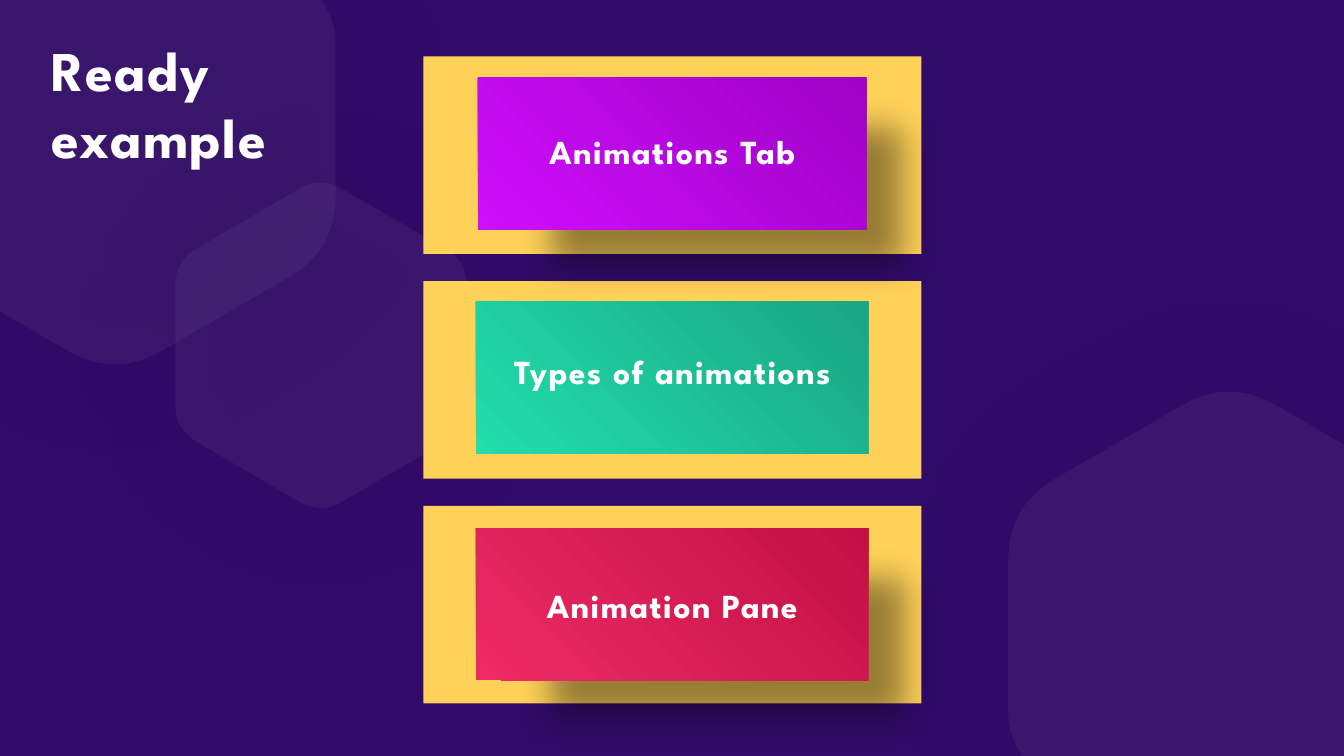
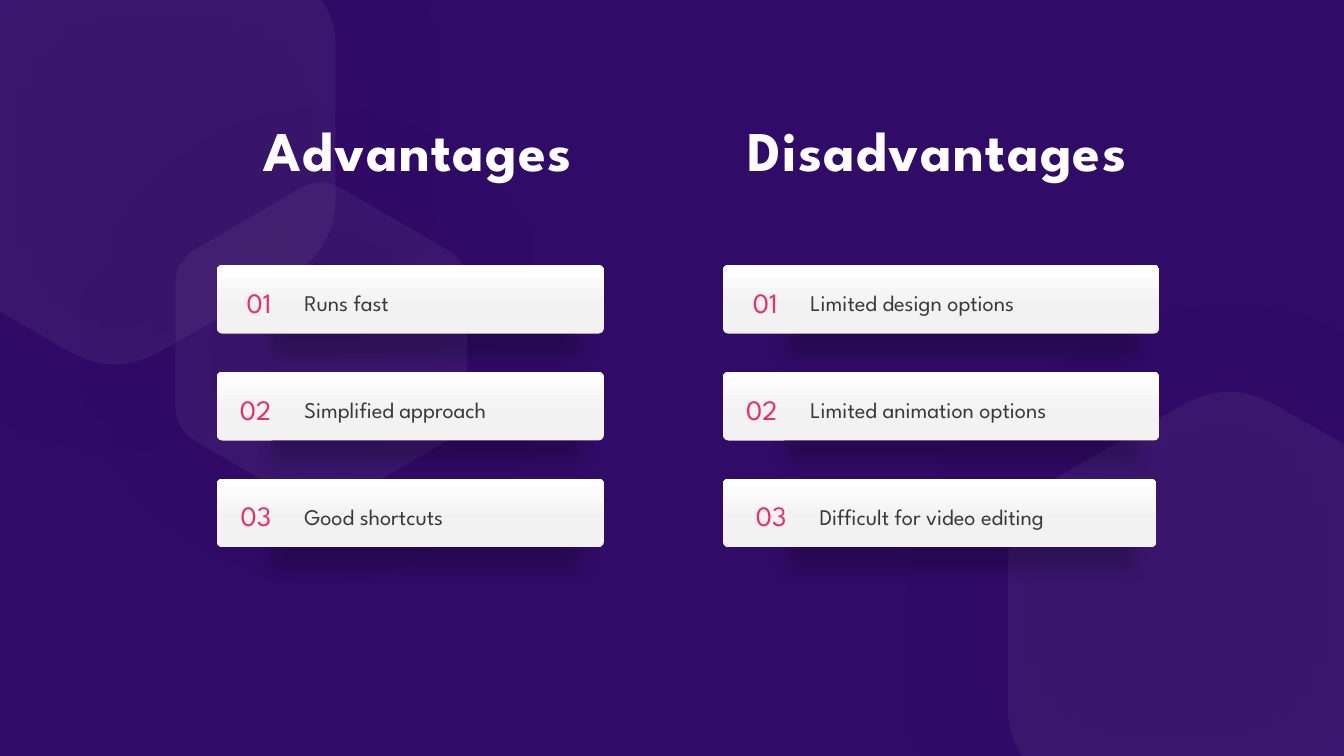
import pptx
import pptx.dml.color
import pptx.enum.shapes
import pptx.enum.text
import pptx.oxml
import pptx.util
from pptx.util import Inches

THEME = {
    "font": "League Spartan",
    "night": "310B68", "white": "FFFFFF", "yellow": "FED159",
    "pink": "ED2B65", "ink": "3B3838",
    "violet": ("CE0EFC", "9F02C5"), "green": ("22DDAD", "19A682"),
    "red": ("ED2B65", "C21045"), "card": ("F2F2F2", "FFFFFF"),
    "title": 40, "label": 24, "number": 20, "body": 16,
}
# Shadows: opacity %, blur pt, distance pt, direction in degrees, scale %
GLOW = (75, 100, 0, 0, 100)
BUTTON_SHADOW = (40, 24, 36, 45, 90)
CARD_SHADOW = (20, 12, 23, 135, 80)
NAMESPACE = "http://schemas.openxmlformats.org/drawingml/2006/main"
RECT = pptx.enum.shapes.MSO_SHAPE.RECTANGLE
ROUNDED = pptx.enum.shapes.MSO_SHAPE.ROUNDED_RECTANGLE
ALIGN = pptx.enum.text.PP_ALIGN


def style_shape(shape, fill, angle=0, start=0, shadow=None):
    """Fill with one colour or a pair of gradient colours, without an outline."""
    if isinstance(fill, tuple):
        shape.fill.gradient()
        shape.fill.gradient_angle = angle
        for stop, color, position in zip(shape.fill.gradient_stops, fill, (start, 1)):
            stop.color.rgb = pptx.dml.color.RGBColor.from_string(color)
            stop.position = position
    else:
        shape.fill.solid()
        shape.fill.fore_color.rgb = pptx.dml.color.RGBColor.from_string(fill)
    shape.line.fill.background()
    shape.shadow.inherit = False
    if shadow:
        opacity, blur, distance, direction, scale = shadow
        effects = shape.element.spPr.find(f"{{{NAMESPACE}}}effectLst")
        effects.append(pptx.oxml.parse_xml(
            f'<a:outerShdw xmlns:a="{NAMESPACE}" blurRad="{pptx.util.Pt(blur)}" '
            f'dist="{pptx.util.Pt(distance)}" dir="{direction * 60000}" '
            f'sx="{scale * 1000}" sy="{scale * 1000}" algn="br" rotWithShape="0">'
            f'<a:srgbClr val="000000"><a:alpha val="{opacity * 1000}"/></a:srgbClr>'
            '</a:outerShdw>'))


def add_text(page, text, left, top, width, height, size, color, align, bold=False):
    box = page.shapes.add_textbox(Inches(left), Inches(top), Inches(width), Inches(height))
    box.text_frame.word_wrap = True
    box.text_frame.auto_size = pptx.enum.text.MSO_AUTO_SIZE.SHAPE_TO_FIT_TEXT
    box.text_frame.text = text
    for para in box.text_frame.paragraphs:
        para.alignment = align
        para.font.name = THEME["font"]
        para.font.size = pptx.util.Pt(size)
        para.font.bold = bold
        para.font.color.rgb = pptx.dml.color.RGBColor.from_string(color)
        if bold:
            for span in para.runs:
                span._r.get_or_add_rPr().set("spc", "100")


deck = pptx.Presentation()
deck.slide_width, deck.slide_height = Inches(13.33), Inches(7.5)
layout = deck.slide_layouts[6]
for placeholder in list(layout.placeholders):
    layout.shapes.element.remove(placeholder.element)
layout.background.fill.solid()
layout.background.fill.fore_color.rgb = pptx.dml.color.RGBColor.from_string(THEME["night"])
buttons_page = deck.slides.add_slide(layout)
lists_page = deck.slides.add_slide(layout)

# Shared backdrop: hexagons as corners of x, y and rounding length
corner_hexagon = [(0, 0, 0), (3.19, 0, 0), (3.33, 0.24, 0.2),
                  (3.33, 2.48, 0.54), (1.14, 3.75, 0.54), (0, 3.09, 0)]
middle_hexagon = [(x, y, 0.24) for x, y in (
    (3.18, 1.75), (4.63, 2.59), (4.63, 4.26), (3.18, 5.1), (1.74, 4.26), (1.74, 2.59))]
opposite_hexagon = [(13.33 - x, 7.5 - y, rounding) for x, y, rounding in corner_hexagon]
for corners in (corner_hexagon, middle_hexagon, opposite_hexagon):
    outline = []
    for index, (x, y, rounding) in enumerate(corners):
        ends = []
        for near_x, near_y, _ in (corners[index - 1], corners[(index + 1) % len(corners)]):
            share = rounding / ((near_x - x) ** 2 + (near_y - y) ** 2) ** 0.5
            ends.append((x + share * (near_x - x), y + share * (near_y - y)))
        (from_x, from_y), (to_x, to_y) = ends
        for step in range(13 if rounding else 1):
            t = step / 12
            before, control, after = (1 - t) ** 2, 2 * t * (1 - t), t ** 2
            outline.append((Inches(before * from_x + control * x + after * to_x),
                            Inches(before * from_y + control * y + after * to_y)))
    builder = buttons_page.shapes.build_freeform(*outline[0])
    builder.add_line_segments(outline[1:], close=True)
    hexagon = builder.convert_to_shape()
    style_shape(hexagon, THEME["white"], shadow=GLOW)
    color = hexagon.element.spPr.find(f"{{{NAMESPACE}}}solidFill")[0]
    color.append(pptx.oxml.parse_xml(f'<a:alpha xmlns:a="{NAMESPACE}" val="5000"/>'))
    layout.shapes.element.append(hexagon.element)

# Slide 1: three buttons on yellow panels
for row in range(3):
    panel = buttons_page.shapes.add_shape(
        RECT, Inches(4.2), Inches(0.56 + 2.23 * row), Inches(4.94), Inches(1.96))
    style_shape(panel, THEME["yellow"])
buttons = [
    ("Animations Tab", "violet", 4.74, 0.77, 3.85, 1.25, BUTTON_SHADOW),
    ("Types of animations", "green", 4.72, 2.99, 3.89, 3.43, None),
    ("Animation Pane", "red", 4.72, 5.24, 3.89, 5.75, BUTTON_SHADOW),
]
for label, colors, left, top, width, text_top, shadow in buttons:
    button = buttons_page.shapes.add_shape(
        RECT, Inches(left), Inches(top), Inches(width), Inches(1.51))
    style_shape(button, THEME[colors], angle=45, shadow=shadow)
    add_text(buttons_page, label, 4.9, text_top, 3.54, 0.5,
             THEME["label"], THEME["white"], ALIGN.CENTER, bold=True)
add_text(buttons_page, "Ready\nexample", 0.41, 0.3, 2.54, 1.45,
         THEME["title"], THEME["white"], ALIGN.LEFT, bold=True)

# Slide 2: two numbered lists; each item has its card width and text shift
columns = [
    ("Advantages", 1.98, 2.15, [
        ("Runs fast", 3.84, 0), ("Simplified approach", 3.84, 0),
        ("Good shortcuts", 3.84, 0)]),
    ("Disadvantages", 7.13, 7.17, [
        ("Limited design options", 4.33, 0), ("Limited animation options", 4.33, 0),
        ("Difficult for video editing", 4.3, 0.09)]),
]
for heading, heading_left, left, items in columns:
    add_text(lists_page, heading, heading_left, 1.1, 4.33, 0.77,
             THEME["title"], THEME["white"], ALIGN.CENTER, bold=True)
    for row, (item, width, shift) in enumerate(items):
        top = 2.63 + 1.06 * row
        card = lists_page.shapes.add_shape(
            ROUNDED, Inches(left), Inches(top), Inches(width), Inches(0.68))
        card.adjustments[0] = 0.08
        style_shape(card, THEME["card"], angle=90, start=0.41, shadow=CARD_SHADOW)
        add_text(lists_page, item, left + 0.77 + shift, top + 0.19, 3.02, 0.37,
                 THEME["body"], THEME["ink"], ALIGN.LEFT)
        add_text(lists_page, f"{row + 1:02}", left + 0.12 + shift, top + 0.15, 0.52, 0.44,
                 THEME["number"], THEME["pink"], ALIGN.RIGHT)

deck.save("out.pptx")
